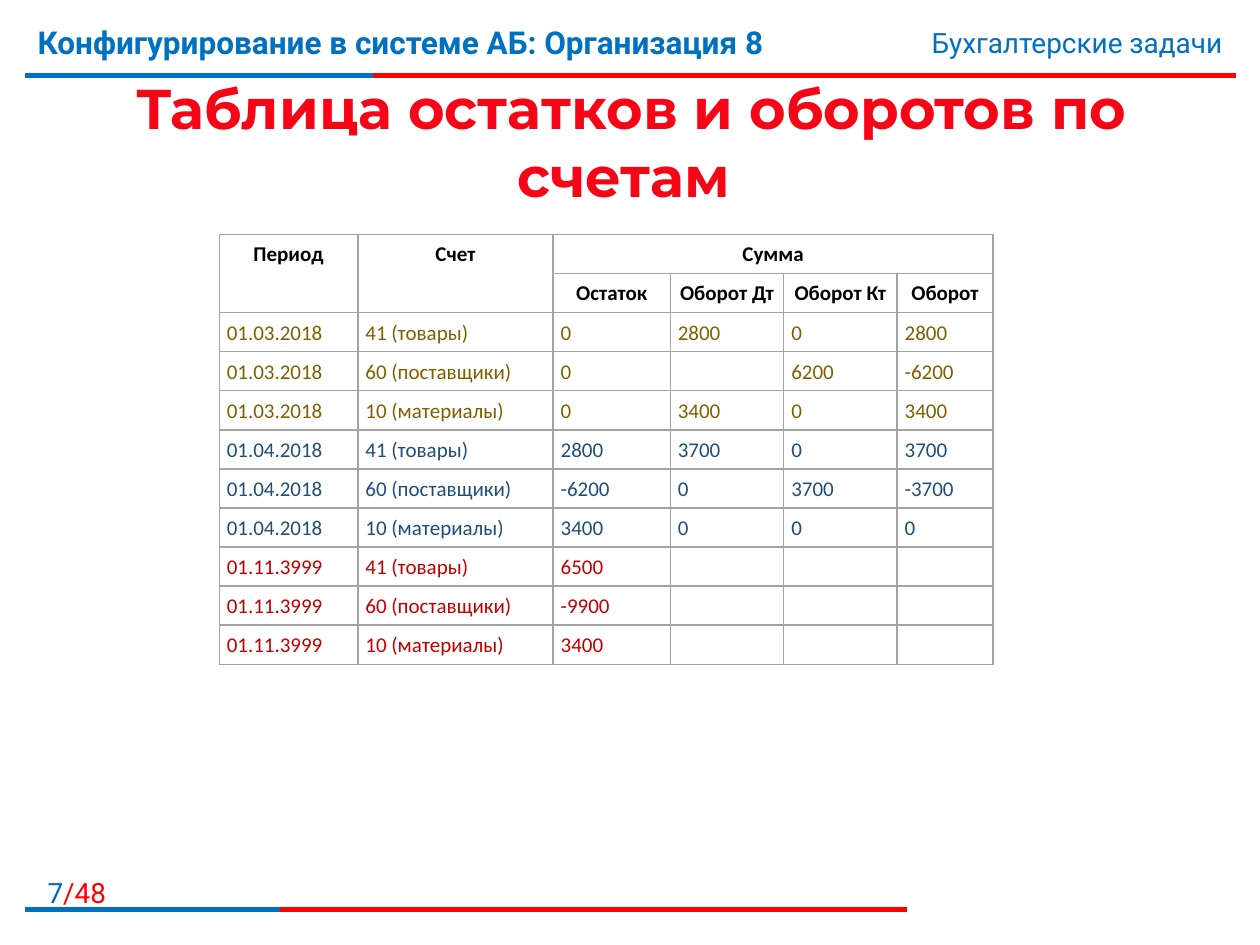
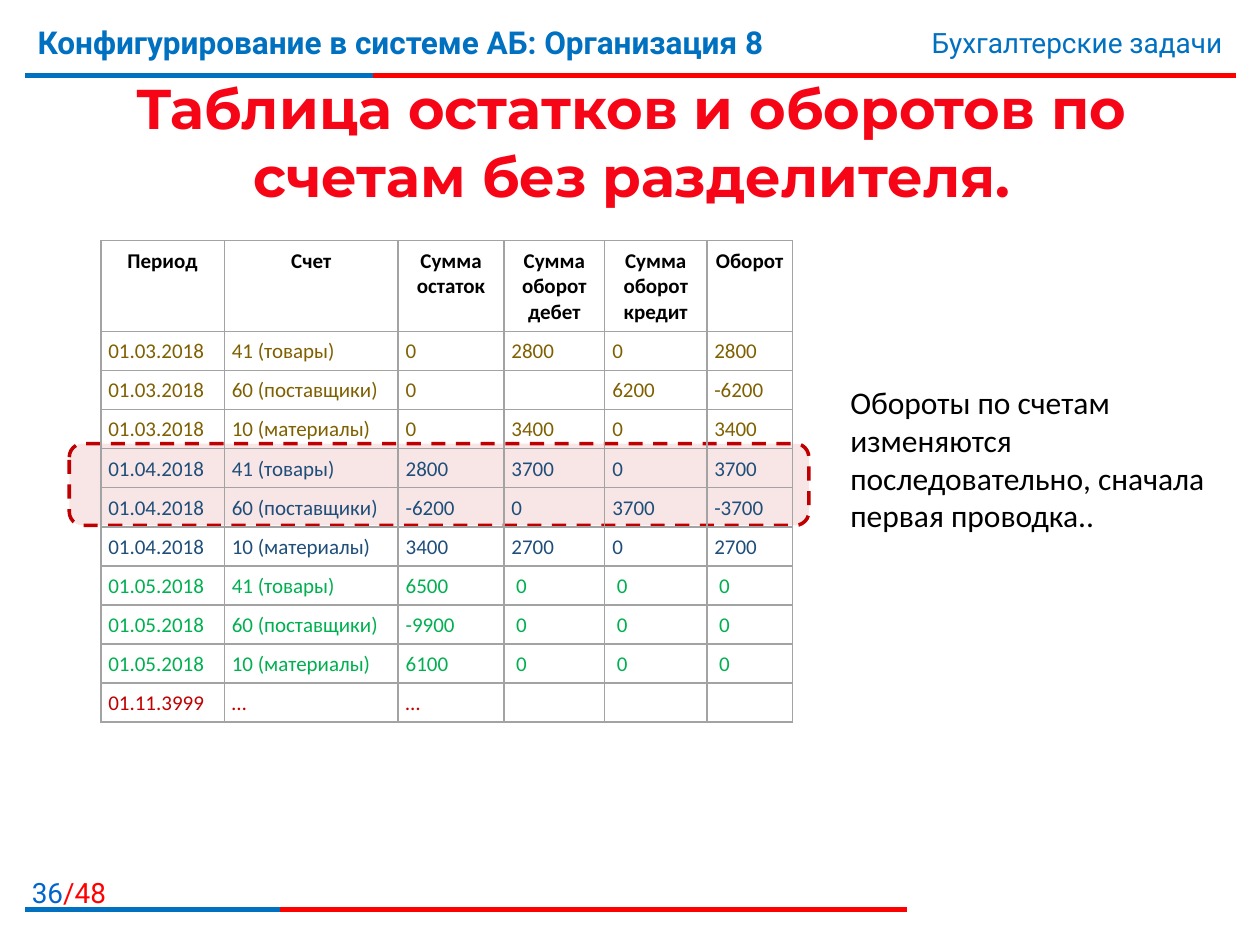
from lxml import etree
from pptx import Presentation
from pptx.dml.color import RGBColor
from pptx.enum.dml import MSO_LINE
from pptx.enum.shapes import MSO_CONNECTOR, MSO_SHAPE
from pptx.enum.text import MSO_ANCHOR, MSO_AUTO_SIZE, PP_ALIGN
from pptx.oxml.ns import qn
from pptx.util import Inches, Pt

STRAIGHT = MSO_CONNECTOR.STRAIGHT
ROUNDED = MSO_SHAPE.ROUNDED_RECTANGLE
DASH = MSO_LINE.DASH
LEFT, CENTER, RIGHT = PP_ALIGN.LEFT, PP_ALIGN.CENTER, PP_ALIGN.RIGHT
TOP, MIDDLE = MSO_ANCHOR.TOP, MSO_ANCHOR.MIDDLE
NO_AUTOFIT = MSO_AUTO_SIZE.NONE

WHITE = RGBColor(0xFF, 0xFF, 0xFF)
BLACK = RGBColor(0, 0, 0)
RED = RGBColor(0xFF, 0, 0)
TITLE_RED = RGBColor(0xF5, 0x05, 0x16)
DARK_RED = RGBColor(0xC0, 0, 0)
BLUE = RGBColor(0, 0x70, 0xC0)
NUMBER_BLUE = RGBColor(0, 0x66, 0xCC)
OLIVE = RGBColor(0x7F, 0x60, 0)
NAVY = RGBColor(0x1E, 0x4E, 0x79)
GREEN = RGBColor(0, 0xB0, 0x50)
GRID = RGBColor(0xA3, 0xA3, 0xA3)

HEADING_FONT, BAND_FONT, BODY_FONT = "Montserrat", "Roboto", "Calibri"
COURSE = "Конфигурирование в системе АБ: Организация 8"
TOPIC = "Бухгалтерские задачи"
PAGE_COUNT = 48
CELL_SIZE = 12
ROW_HEIGHT = 0.31

GOODS, SUPPLIERS, MATERIALS = "41 (товары)", "60 (поставщики)", "10 (материалы)"
NO_TURNOVER = ("\u00a00",) * 3
MARCH_ROWS = [
    (OLIVE, ("01.03.2018", GOODS, "0", "2800", "0", "2800")),
    (OLIVE, ("01.03.2018", SUPPLIERS, "0", "", "6200", "-6200")),
    (OLIVE, ("01.03.2018", MATERIALS, "0", "3400", "0", "3400")),
]
APRIL_ROWS = [
    (NAVY, ("01.04.2018", GOODS, "2800", "3700", "0", "3700")),
    (NAVY, ("01.04.2018", SUPPLIERS, "-6200", "0", "3700", "-3700")),
]
SEPARATE_ROWS = [
    (BLACK, ("Период", "Счет", "Сумма", "", "", "")),
    (BLACK, ("", "", "Остаток", "Оборот Дт", "Оборот Кт", "Оборот")),
    *MARCH_ROWS,
    *APRIL_ROWS,
    (NAVY, ("01.04.2018", MATERIALS, "3400", "0", "0", "0")),
    (DARK_RED, ("01.11.3999", GOODS, "6500", "", "", "")),
    (DARK_RED, ("01.11.3999", SUPPLIERS, "-9900", "", "", "")),
    (DARK_RED, ("01.11.3999", MATERIALS, "3400", "", "", "")),
]
COMBINED_ROWS = [
    (BLACK, ("Период", "Счет", "Сумма остаток", "Сумма оборот дебет",
             "Сумма оборот кредит", "Оборот")),
    *MARCH_ROWS,
    *APRIL_ROWS,
    (NAVY, ("01.04.2018", MATERIALS, "3400", "2700", "0", "2700")),
    (GREEN, ("01.05.2018", GOODS, "6500", *NO_TURNOVER)),
    (GREEN, ("01.05.2018", SUPPLIERS, "-9900", *NO_TURNOVER)),
    (GREEN, ("01.05.2018", MATERIALS, "6100", *NO_TURNOVER)),
    (DARK_RED, ("01.11.3999", "…", "…", "", "", "")),
]


def inches(box):
    """Turn a box of plain numbers into lengths."""
    return [Inches(value) for value in box]


def add_run(paragraph, text, size, color, font=BODY_FONT, bold=False):
    """Append one formatted run."""
    run = paragraph.add_run()
    run.text = text
    run.font.name, run.font.size, run.font.bold = font, Pt(size), bold
    run.font.color.rgb = color


def add_text(slide, box, runs, align=LEFT):
    """Place a wrapping text box; each run is the arguments of add_run."""
    frame = slide.shapes.add_textbox(*inches(box)).text_frame
    frame.word_wrap = True
    paragraph = frame.paragraphs[0]
    paragraph.alignment = align
    for run in runs:
        add_run(paragraph, *run)


def add_rule(slide, left, top, width, blue_width):
    """Draw a red rule whose first part is blue."""
    for length, color in ((width, RED), (blue_width, BLUE)):
        rule = slide.shapes.add_connector(
            STRAIGHT, *inches((left, top, left + length, top)))
        rule.line.color.rgb = color
        rule.line.width = Pt(3)
        etree.SubElement(rule._element.spPr, qn("a:effectLst"))


def add_bands(slide, number):
    """Draw the header and the footer with the page number."""
    add_rule(slide, 0.2, 0.6, 9.61, 2.76)
    add_text(slide, (0.05, 6.9, 0.89, 0.32),
             [(str(number), 16, NUMBER_BLUE, BAND_FONT),
              (f"/{PAGE_COUNT}", 16, RED, BAND_FONT)], RIGHT)
    add_rule(slide, 0.2, 7.22, 7, 2.02)
    add_text(slide, (0.2, 0.13, 7.4, 0.62), [(COURSE, 18, BLUE, BAND_FONT, True)])
    add_text(slide, (5.94, 0.15, 3.86, 0.37), [(TOPIC, 16, BLUE, BAND_FONT)], RIGHT)


def add_line_fill(parent, tag, position, color, points):
    """Insert a solid outline element, as text and cells need it."""
    line = etree.Element(qn(tag), w=str(Pt(points)))
    fill = etree.SubElement(line, qn("a:solidFill"))
    etree.SubElement(fill, qn("a:srgbClr"), val=str(color))
    parent.insert(position, line)


def set_title(slide, text, box):
    """Move the title placeholder and give it the gradient lettering."""
    title = slide.shapes.title
    title.left, title.top, title.width, title.height = inches(box)
    frame = title.text_frame
    frame.word_wrap, frame.auto_size = True, NO_AUTOFIT
    frame.vertical_anchor = MIDDLE
    paragraph = frame.paragraphs[0]
    paragraph.alignment = CENTER
    add_run(paragraph, text, 32, TITLE_RED, HEADING_FONT, True)
    run = paragraph.runs[0]
    fill = run.font.fill
    fill.gradient()
    fill.gradient_angle = 270
    for stop, position, color in zip(
            fill.gradient_stops, (0.55, 0.86), (TITLE_RED, DARK_RED)):
        stop.position, stop.color.rgb = position, color
    add_line_fill(run.font._element, "a:ln", 0, WHITE, 0.75)


def fill_cell(cell, text, color, header):
    """Write and frame one table cell."""
    cell.margin_left = cell.margin_right = cell.margin_top = Inches(0.06)
    cell.margin_bottom = Inches(0.05)
    cell.vertical_anchor = TOP
    cell.fill.background()
    properties = cell._tc.get_or_add_tcPr()
    for position, side in enumerate("LRTB"):
        add_line_fill(properties, f"a:ln{side}", position, GRID, 1)
    paragraph = cell.text_frame.paragraphs[0]
    paragraph.alignment = CENTER if header else LEFT
    if text:
        add_run(paragraph, text, CELL_SIZE, color, bold=header)
    else:
        etree.SubElement(paragraph._p, qn("a:endParaRPr"), sz=str(CELL_SIZE * 100))


def add_balance_table(slide, left, top, widths, rows, header_rows=1,
                      header_height=ROW_HEIGHT):
    """Place a table of balances and return it."""
    heights = [header_height if index < header_rows else ROW_HEIGHT
               for index in range(len(rows))]
    box = inches((left, top, sum(widths), sum(heights)))
    table = slide.shapes.add_table(len(rows), len(widths), *box).table
    table.first_row = table.horz_banding = False
    for column, width in zip(table.columns, widths):
        column.width = Inches(width)
    for index, (color, texts) in enumerate(rows):
        table.rows[index].height = Inches(heights[index])
        for column, text in enumerate(texts):
            fill_cell(table.cell(index, column), text, color, index < header_rows)
    return table


def add_highlight(slide, box):
    """Draw the dashed frame around the changing rows."""
    frame = slide.shapes.add_shape(ROUNDED, *inches(box))
    frame.shadow.inherit = False
    frame.fill.solid()
    frame.fill.fore_color.rgb = DARK_RED
    tint = frame._element.spPr.find(".//" + qn("a:srgbClr"))
    etree.SubElement(tint, qn("a:alpha"), val="10000")
    frame.line.color.rgb = DARK_RED
    frame.line.width = Pt(2)
    frame.line.dash_style = DASH


def add_base_slide(presentation, number, title):
    """Add a slide with bands and title."""
    slide = presentation.slides.add_slide(presentation.slide_layouts[5])
    add_bands(slide, number)
    set_title(slide, title, (0.21, 0.63, 9.61, 0.98))
    return slide


def add_separate_slide(presentation):
    """Balances and turnovers under a two-level header."""
    slide = add_base_slide(presentation, 7, "Таблица остатков и оборотов по счетам ")
    table = add_balance_table(slide, 1.74, 1.86, (1.1, 1.55, 0.93, 0.9, 0.9, 0.76),
                              SEPARATE_ROWS, header_rows=2)
    for column in (0, 1):
        table.cell(0, column).merge(table.cell(1, column))
    table.cell(0, 2).merge(table.cell(0, 5))


def add_combined_slide(presentation):
    """Balances without a separator, with highlighted rows and a remark."""
    slide = add_base_slide(
        presentation, 36, "Таблица остатков и оборотов по счетам без разделителя.")
    add_highlight(slide, (0.55, 3.52, 5.87, 0.65))
    add_balance_table(slide, 0.8, 1.91, (0.98, 1.38, 0.84, 0.8, 0.81, 0.68),
                      COMBINED_ROWS, header_height=0.72)
    remark = ("Обороты по счетам изменяются последовательно, "
              "сначала первая проводка..")
    add_text(slide, (6.65, 2.99, 3.06, 1.31), [(remark, 18, BLACK)])


def main():
    """Build and save the presentation."""
    presentation = Presentation()
    presentation.slide_width, presentation.slide_height = Inches(10), Inches(7.5)
    add_separate_slide(presentation)
    add_combined_slide(presentation)
    presentation.save("out.pptx")


main()
